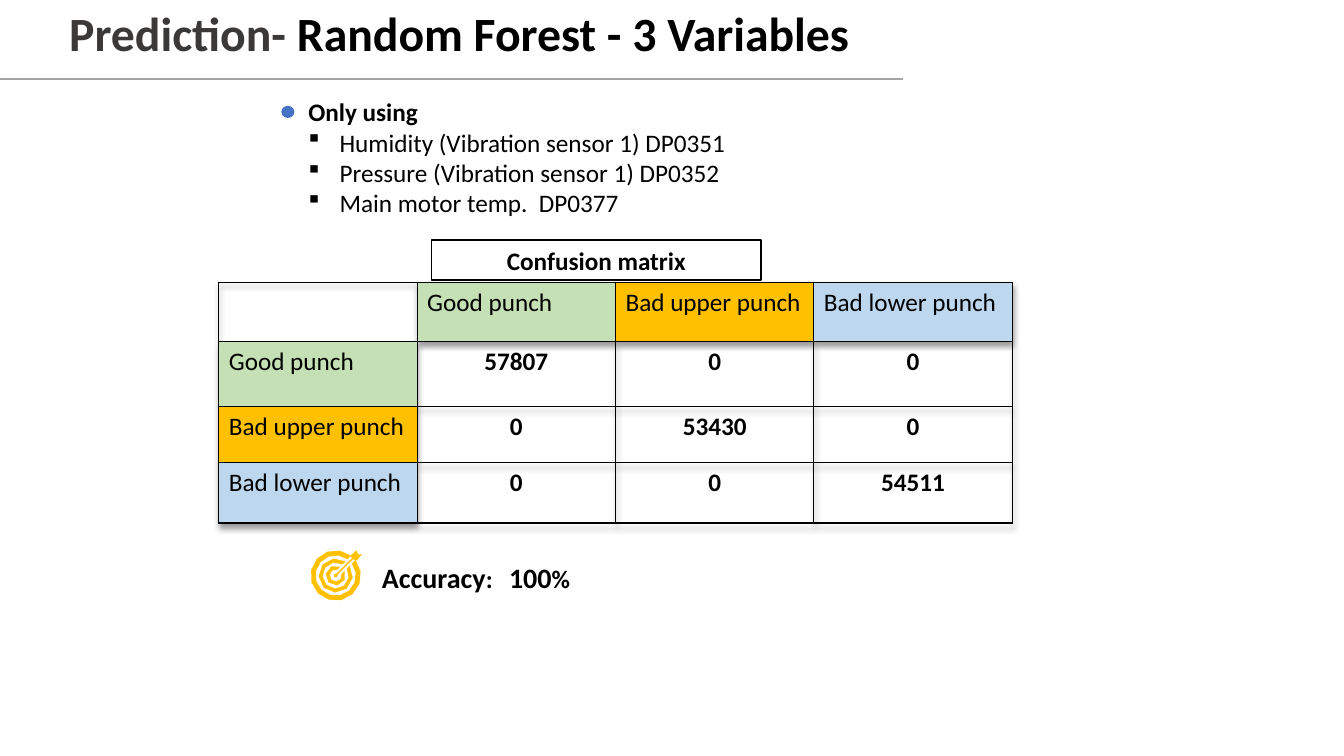
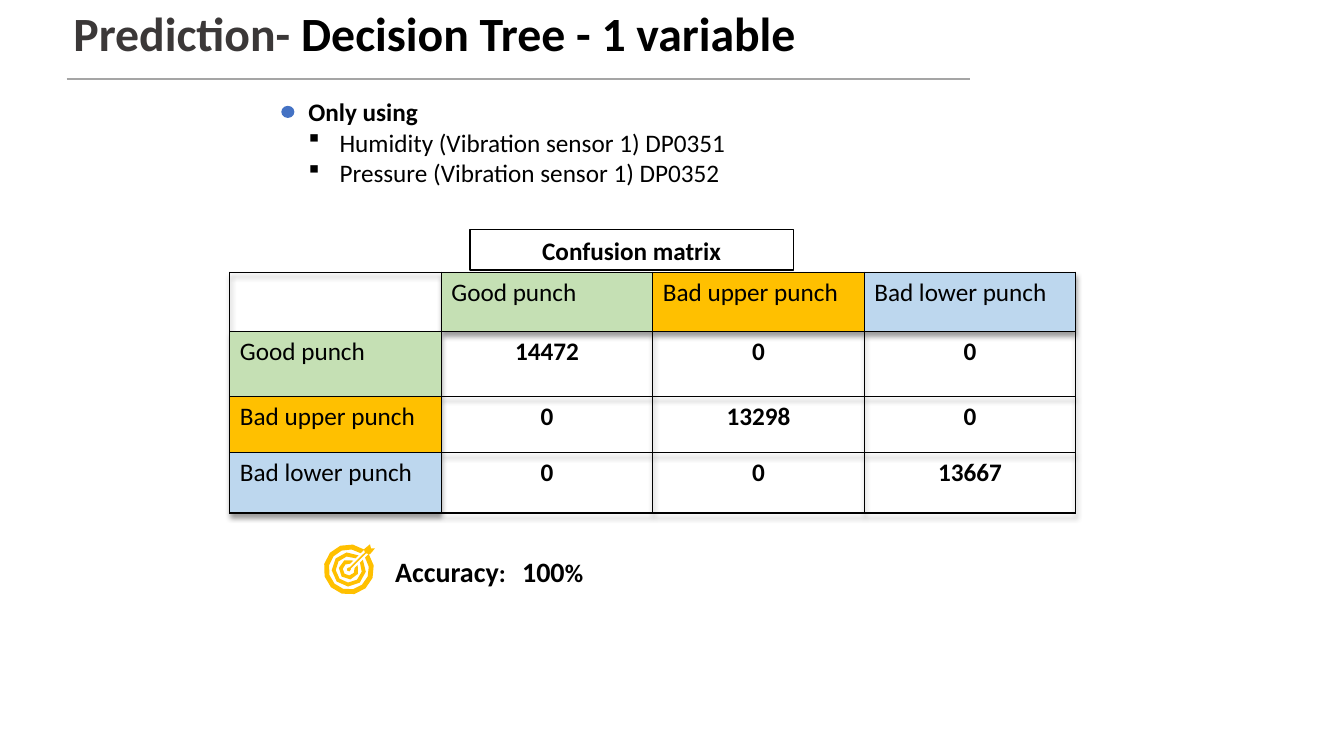
from math import asin, cos, pi, sin

from lxml.etree import SubElement
from pptx import Presentation
from pptx.dml.color import RGBColor
from pptx.enum.shapes import MSO_CONNECTOR, MSO_SHAPE
from pptx.enum.text import MSO_ANCHOR as Anchor
from pptx.enum.text import MSO_AUTO_SIZE as AutoSize
from pptx.enum.text import PP_ALIGN as Align
from pptx.oxml import parse_xml
from pptx.oxml.ns import qn
from pptx.util import Inches, Pt

COLORS = {
    "text": "000000",
    "muted": "3B3838",
    "rule": "A5A5A5",
    "dot": "4472C4",
    "paper": "FFFFFF",
    "good": "C5E0B4",
    "upper": "FFC000",
    "lower": "BDD7EE",
}
FONT = "Calibri"
TITLE_ONLY = 5
CLASSES = [("Good punch", "good"), ("Bad upper punch", "upper"), ("Bad lower punch", "lower")]
ROW_HEIGHTS = [0.59, 0.64, 0.56, 0.6]
HUMIDITY = "Humidity (Vibration sensor 1) DP0351"
PRESSURE = "Pressure (Vibration sensor 1) DP0352"
MOTOR = "Main motor temp.  DP0377"
DRAWING_NS = "http://schemas.openxmlformats.org/drawingml/2006/main"
TABLE_SHADOW = (
    f'<a:effectLst xmlns:a="{DRAWING_NS}">'
    '<a:outerShdw blurRad="50800" dist="38100" dir="5400000" algn="t" rotWithShape="0">'
    '<a:srgbClr val="000000"><a:alpha val="40000"/></a:srgbClr>'
    "</a:outerShdw></a:effectLst>"
)


def rgb(name):
    return RGBColor.from_string(COLORS[name])


def box(left, top, width, height):
    return [Inches(value) for value in (left, top, width, height)]


def write(frame, runs, size=18, bold=False, color="text", align=Align.LEFT,
          spacing=None, bullet=None, tab=None, new=False):
    paragraph = frame.add_paragraph() if new else frame.paragraphs[0]
    paragraph.alignment = align
    if spacing:
        paragraph.line_spacing = spacing
    for text, changes in runs:
        run = paragraph.add_run()
        run.text = text
        font = run.font
        font.name = FONT
        font.size = Pt(changes.get("size", size))
        font.bold = bold
        font.color.rgb = rgb(changes.get("color", color))
    properties = paragraph._p.get_or_add_pPr()
    if bullet:
        properties.set("marL", str(Inches(0.31)))
        properties.set("indent", str(-Inches(0.31)))
        SubElement(properties, qn("a:buFont"), typeface="Wingdings", pitchFamily="2", charset="2")
        SubElement(properties, qn("a:buChar"), char=bullet)
    if tab:
        stops = SubElement(properties, qn("a:tabLst"))
        SubElement(stops, qn("a:tab"), pos=str(Inches(tab)), algn="l")


def paint(shape, fill, line=None):
    shape.shadow.inherit = False
    shape.fill.solid()
    shape.fill.fore_color.rgb = rgb(fill)
    if line:
        shape.line.color.rgb = rgb(line)
        shape.line.width = Pt(1)
    else:
        shape.line.fill.background()


def add_heading(slide, topic, width, rule_left):
    title = slide.shapes.title
    title.left, title.top, title.width, title.height = box(0, 0.12, width, 0.55)
    frame = title.text_frame
    frame.auto_size = AutoSize.NONE
    frame.vertical_anchor = Anchor.MIDDLE
    write(frame, [("Prediction- ", {"color": "muted"}), (topic, {})],
          size=34.1, bold=True, align=Align.CENTER, spacing=0.7)
    rule = slide.shapes.add_connector(
        MSO_CONNECTOR.STRAIGHT, Inches(rule_left), Inches(0.78),
        Inches(rule_left + 8.96), Inches(0.78))
    rule.line.color.rgb = rgb("rule")
    rule.line.width = Pt(1.5)
    SubElement(rule._element.spPr, qn("a:effectLst"))


def add_variables(slide, left, top, variables):
    dot = slide.shapes.add_shape(MSO_SHAPE.OVAL, *box(left, top + 0.14, 0.13, 0.12))
    paint(dot, "dot")
    height = 0.11 + 0.3 * (len(variables) + 1)
    frame = slide.shapes.add_textbox(*box(left + 0.17, top, 5.87, height)).text_frame
    frame.word_wrap = True
    write(frame, [("Only using", {})], bold=True)
    for variable in variables:
        write(frame, [(variable, {})], bullet="§", new=True)


def format_cell(cell, text, fill=None, bold=False, align=Align.LEFT):
    properties = cell._tc.get_or_add_tcPr()
    for side in ("lnL", "lnR", "lnT", "lnB"):
        border = SubElement(properties, qn(f"a:{side}"), w=str(Pt(1)))
        SubElement(SubElement(border, qn("a:solidFill")), qn("a:srgbClr"), val=COLORS["text"])
    if fill:
        cell.fill.solid()
        cell.fill.fore_color.rgb = rgb(fill)
    else:
        cell.fill.background()
    if text:
        write(cell.text_frame, [(text, {})], bold=bold, align=align)


def add_matrix(slide, left, top, width, hits):
    size = len(CLASSES) + 1
    frame = slide.shapes.add_table(size, size, *box(left, top, width, sum(ROW_HEIGHTS)))
    table = frame.table
    table.first_row = table.horz_banding = False
    table._tbl.tblPr.insert(0, parse_xml(TABLE_SHADOW))
    for column in table.columns:
        column.width = Inches(width / size)
    for row, height in zip(table.rows, ROW_HEIGHTS):
        row.height = Inches(height)
    format_cell(table.cell(0, 0), "")
    for i, (label, fill) in enumerate(CLASSES, 1):
        format_cell(table.cell(0, i), label, fill)
        format_cell(table.cell(i, 0), label, fill)
        for j in range(1, size):
            count = hits[i - 1] if i == j else 0
            format_cell(table.cell(i, j), str(count), bold=True, align=Align.CENTER)


def add_caption(slide, left, top, width):
    caption = slide.shapes.add_shape(MSO_SHAPE.RECTANGLE, *box(left, top, width, 0.4))
    paint(caption, "paper", "text")
    write(caption.text_frame, [("Confusion matrix", {})], bold=True, align=Align.CENTER)


def arc(radius, start, end, steps):
    angles = [start + (end - start) * i / steps for i in range(steps + 1)]
    return [(radius * cos(angle), -radius * sin(angle)) for angle in angles]


def broken_ring(outer, inner, steps, half_gap=0.03):
    middle = pi / 4
    outer_gap, inner_gap = asin(half_gap / outer), asin(half_gap / inner)
    return (arc(outer, middle + outer_gap, middle + 2 * pi - outer_gap, steps)
            + arc(inner, middle + 2 * pi - inner_gap, middle + inner_gap, steps))


def add_target(slide, left, top):
    arrow = [(0.01, -0.02), (0.16, -0.17), (0.15, -0.2), (0.21, -0.25), (0.22, -0.21),
             (0.26, -0.21), (0.21, -0.15), (0.17, -0.16), (0.02, -0.01)]
    hub = arc(0.02, 0, -1.5 * pi, 4)
    outlines = [broken_ring(0.25, 0.2, 12), broken_ring(0.17, 0.13, 8),
                broken_ring(0.1, 0.06, 6), arrow + hub]
    center_x, center_y = left + 0.25, top + 0.25
    builder = None
    for outline in outlines:
        points = [(Inches(center_x + x), Inches(center_y + y)) for x, y in outline]
        if builder is None:
            builder = slide.shapes.build_freeform(*points[0])
        else:
            builder.move_to(*points[0])
        builder.add_line_segments(points[1:], close=True)
    paint(builder.convert_to_shape(), "upper")


def add_accuracy(slide, left, top):
    add_target(slide, left, top)
    frame = slide.shapes.add_textbox(*box(left + 0.61, top + 0.05, 4.18, 0.44)).text_frame
    frame.word_wrap = True
    write(frame, [("Accuracy", {}), (":\t", {"size": 18}), ("100", {}), ("%", {"size": 18})],
          size=20, bold=True, tab=1.26)


def add_result_slide(deck, topic, title_width, rule_left, variables, caption, matrix, hits, accuracy):
    slide = deck.slides.add_slide(deck.slide_layouts[TITLE_ONLY])
    add_accuracy(slide, *accuracy)
    add_caption(slide, *caption)
    add_matrix(slide, *matrix, hits)
    add_heading(slide, topic, title_width, rule_left)
    add_variables(slide, 2.79, 0.91, variables)


def main():
    deck = Presentation()
    deck.slide_width, deck.slide_height = Inches(13.33), Inches(7.5)
    add_result_slide(
        deck, "Random Forest - 3 Variables", 9.11, 0, [HUMIDITY, PRESSURE, MOTOR],
        caption=(4.28, 2.38, 3.27), matrix=(2.17, 2.8, 7.87),
        hits=[57807, 53430, 54511], accuracy=(3.08, 5.46))
    add_result_slide(
        deck, "Decision Tree - 1 variable", 8.62, 0.66, [HUMIDITY, PRESSURE],
        caption=(4.66, 2.28, 3.21), matrix=(2.28, 2.7, 8.39),
        hits=[14472, 13298, 13667], accuracy=(3.21, 5.4))
    deck.save("out.pptx")


if __name__ == "__main__":
    main()
